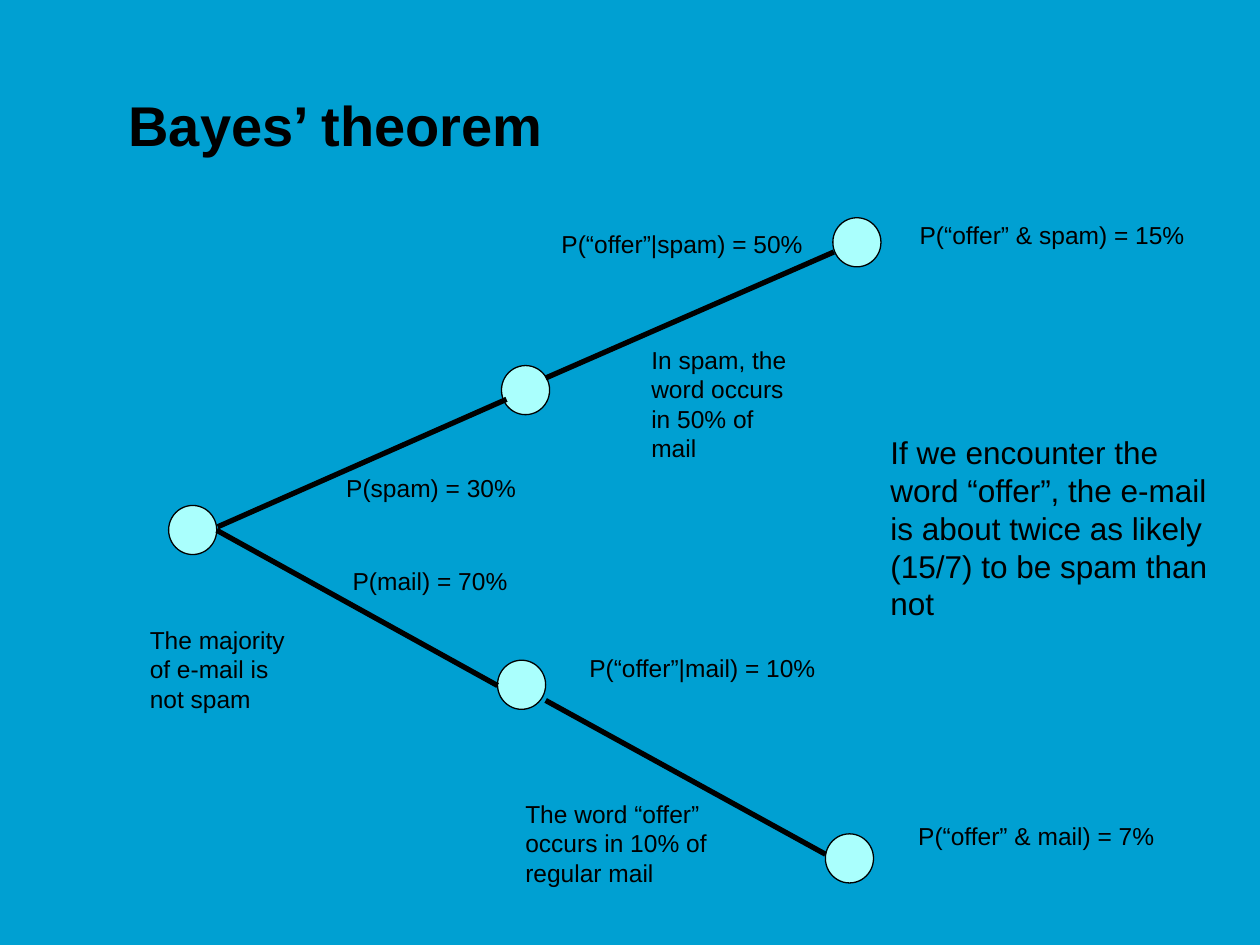
import pptx
import pptx.dml.color
import pptx.enum.shapes
import pptx.enum.text
import pptx.oxml.ns
import pptx.util
from lxml import etree

Cm = pptx.util.Cm
Pt = pptx.util.Pt

COLORS = {"background": "00A0D2", "node": "AAFFFD", "ink": "000000"}
FONT = "Arial"
NODE_WIDTH, NODE_HEIGHT = 0.97, 0.99
LABEL_HEIGHT = 0.86

# All positions and sizes are in centimetres.
TITLE = ("Bayes’ theorem", (2.34, 1.7, 17.15, 1.6))

# left, top
NODES = {
    "root": (3.4, 10.19),
    "spam": (10.11, 7.37),
    "mail": (10.03, 13.31),
    "offer and spam": (16.79, 4.39),
    "offer and mail": (16.64, 16.81),
}

# start x, start y, end x, end y
BRANCHES = [
    (4.39, 10.62, 10.21, 8.05),
    (4.37, 10.69, 10.03, 13.82),
    (11, 7.62, 16.81, 5.08),
    (11, 14.12, 16.64, 17.22),
]

# text, left, top, width
PROBABILITIES = [
    ("P(spam) = 30%", 6.73, 9.42, 3.96),
    ("P(mail) = 70%", 6.86, 11.28, 3.66),
    ("P(“offer”|spam) = 50%", 11.07, 4.5, 5.38),
    ("P(“offer”|mail) = 10%", 11.63, 13.03, 5.11),
    ("P(“offer” & mail) = 7%", 18.26, 16.43, 5.31),
    ("P(“offer” & spam) = 15%", 18.29, 4.32, 5.87),
]

# text, box, font size
NOTES = [
    ("The word “offer”\noccurs in 10% of\nregular mail", (10.34, 15.98, 6.96, 2.06), 14),
    ("The majority of e-mail is not spam", (2.77, 12.47, 3.56, 2.06), 14),
    ("In spam, the word occurs in 50% of mail", (12.88, 6.83, 3.56, 2.64), 14),
    ("If we encounter the word “offer”, the e-mail is about twice as likely "
     "(15/7) to be spam than not", (17.7, 8.61, 7.06, 4.11), 18),
]


def color(name):
    return pptx.dml.color.RGBColor.from_string(COLORS[name])


def add_text(slide, text, box, size=14, bold=False, wrap=True,
             anchor=pptx.enum.text.MSO_ANCHOR.TOP):
    """Add a text box; each line of the text becomes a paragraph."""
    frame = slide.shapes.add_textbox(*map(Cm, box)).text_frame
    frame.word_wrap = wrap
    frame.vertical_anchor = anchor
    frame.text = text
    for paragraph in frame.paragraphs:
        font = paragraph.runs[0].font
        font.name = FONT
        font.size = Pt(size)
        font.bold = bold
        font.color.rgb = color("ink")


def add_node(slide, left, top):
    shape = slide.shapes.add_shape(
        pptx.enum.shapes.MSO_SHAPE.OVAL,
        Cm(left), Cm(top), Cm(NODE_WIDTH), Cm(NODE_HEIGHT))
    shape.shadow.inherit = False
    shape.fill.solid()
    shape.fill.fore_color.rgb = color("node")
    shape.line.color.rgb = color("ink")
    shape.line.width = Pt(0.75)


def add_branch(slide, ends):
    connector = slide.shapes.add_connector(
        pptx.enum.shapes.MSO_CONNECTOR.STRAIGHT, *map(Cm, ends))
    connector.line.color.rgb = color("ink")
    connector.line.width = Pt(3)
    etree.SubElement(connector._element.spPr, pptx.oxml.ns.qn("a:effectLst"))


def main():
    presentation = pptx.Presentation()
    presentation.slide_width = Cm(25.4)
    presentation.slide_height = Cm(19.05)
    slide = presentation.slides.add_slide(presentation.slide_layouts[6])
    slide.background.fill.solid()
    slide.background.fill.fore_color.rgb = color("background")

    title, title_box = TITLE
    add_text(slide, title, title_box, size=32, bold=True,
             anchor=pptx.enum.text.MSO_ANCHOR.BOTTOM)
    for left, top in NODES.values():
        add_node(slide, left, top)
    for ends in BRANCHES:
        add_branch(slide, ends)
    for text, left, top, width in PROBABILITIES:
        add_text(slide, text, (left, top, width, LABEL_HEIGHT), wrap=False)
    for text, box, size in NOTES:
        add_text(slide, text, box, size=size)

    presentation.save("out.pptx")


if __name__ == "__main__":
    main()
